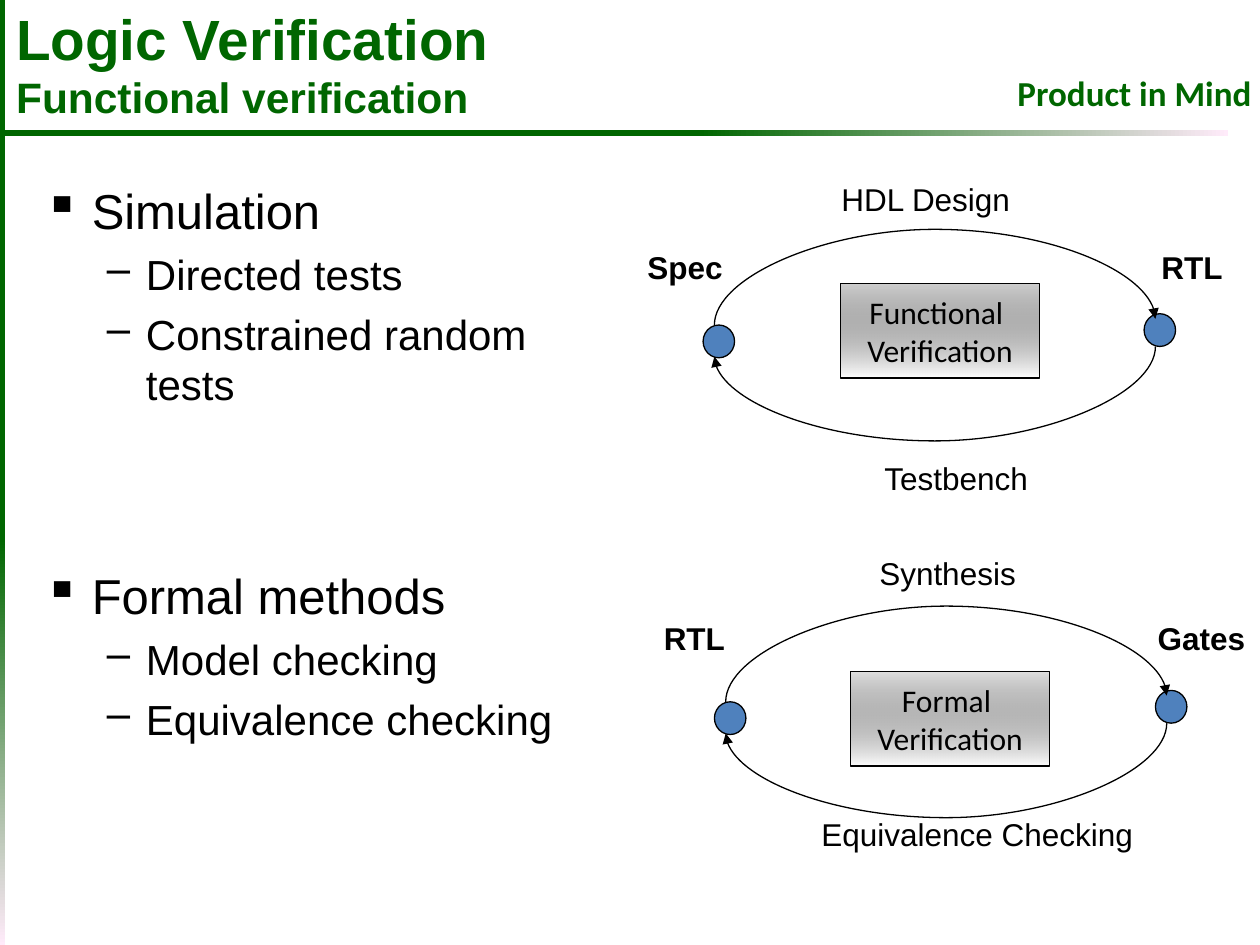
from dataclasses import dataclass

from lxml import etree
from pptx import Presentation
from pptx.dml.color import RGBColor
from pptx.enum.shapes import MSO_CONNECTOR, MSO_SHAPE
from pptx.enum.text import MSO_ANCHOR, PP_ALIGN
from pptx.oxml.ns import qn
from pptx.util import Inches, Pt

CURVE = MSO_CONNECTOR.CURVE
OVAL, RECTANGLE = MSO_SHAPE.OVAL, MSO_SHAPE.RECTANGLE
CENTER, MIDDLE = PP_ALIGN.CENTER, MSO_ANCHOR.MIDDLE
COLORS = {"green": "006600", "pink": "FFEBFA", "blue": "4F81BD",
          "black": "000000", "white": "FFFFFF"}
DOWNWARD = 270  # python-pptx measures gradient angles counter-clockwise


@dataclass
class Label:
    text: str
    left: float
    top: float
    width: float
    bold: bool = False


@dataclass
class Loop:
    """Two nodes joined by an upper and a lower arc around a check box."""
    left: float
    top: float
    box_left: float
    box_top: float
    box_lines: tuple[str, str]
    box_alpha: int
    labels: list[Label]


@dataclass
class Bullet:
    text: str
    level: int = 0
    space_before: float = 5.5


@dataclass
class BulletStyle:
    mark: str
    size: int
    margin: float
    indent: float


BULLET_STYLES = [BulletStyle("▪", 28, 0.38, 0.38), BulletStyle("–", 24, 0.81, 0.31)]
BULLETS = [
    Bullet("Simulation", space_before=0),
    Bullet("Directed tests", 1),
    Bullet("Constrained random tests", 1),
    Bullet("Formal methods", space_before=89),
    Bullet("Model checking", 1),
    Bullet("Equivalence checking", 1),
]
LOOPS = [
    Loop(5.58, 1.82, 6.67, 2.25, ("Functional ", "Verification"), 19, [
        Label("HDL Design", 6.58, 1.38, 2.08),
        Label("Testbench", 6.92, 3.59, 1.42),
        Label("Spec", 5.04, 1.92, 0.83, True),
        Label("RTL", 9.12, 1.92, 0.83, True),
    ]),
    Loop(5.67, 4.81, 6.75, 5.33, ("Formal ", "Verification"), 12, [
        Label("Synthesis", 6.88, 4.35, 2.08),
        Label("Equivalence Checking", 6.42, 6.42, 2.83),
        Label("RTL", 5.17, 4.86, 0.83, True),
        Label("Gates", 9.09, 4.86, 1, True),
    ]),
]


def color(name: str) -> RGBColor:
    return RGBColor.from_string(COLORS[name])


def set_font(paragraph, size: float, name="Arial", color_name="black", bold=False) -> None:
    font = paragraph.font
    font.name, font.size, font.bold = name, Pt(size), bold
    font.color.rgb = color(color_name)


def add_text_box(slide, left: float, top: float, width: float, height: float):
    box = slide.shapes.add_textbox(Inches(left), Inches(top), Inches(width), Inches(height))
    box.text_frame.word_wrap = True
    return box.text_frame


def add_shape(slide, kind, left: float, top: float, width: float, height: float):
    shape = slide.shapes.add_shape(kind, Inches(left), Inches(top), Inches(width), Inches(height))
    shape.shadow.inherit = False
    shape.line.color.rgb = color("black")
    shape.line.width = Pt(0.75)
    return shape


def set_gradient(shape, start: str, end: str, start_position: float, angle: int):
    """Fill with a two-colour gradient and return its first stop."""
    shape.fill.gradient()
    shape.fill.gradient_angle = angle
    first, last = shape.fill.gradient_stops
    first.color.rgb, last.color.rgb = color(start), color(end)
    first.position, last.position = start_position, 1
    return first


def add_bar(slide, left: float, top: float, width: float, height: float, angle: int) -> None:
    bar = add_shape(slide, RECTANGLE, left, top, width, height)
    bar.line.fill.background()
    set_gradient(bar, "green", "pink", 0.57, angle)


def add_arc(slide, center: float, start: float, end: float, peak: float,
            span: float, rotation: int) -> None:
    """Draw a curved connector turned on its side, from height start to end via peak."""
    drop = abs(end - start)
    left, top = center - drop / 2, (start + end - span) / 2
    arc = slide.shapes.add_connector(CURVE, Inches(left), Inches(top),
                                     Inches(left + drop), Inches(top + span))
    arc.line.color.rgb = color("black")
    arc.line.width = Pt(0.75)
    properties = arc._element.spPr
    properties.find(qn("a:xfrm")).set("rot", str(rotation * 60000))
    adjustments = properties.find(qn("a:prstGeom")).find(qn("a:avLst"))
    bend = round(abs(peak - start) / drop * 100000)
    etree.SubElement(adjustments, qn("a:gd"), name="adj1", fmla=f"val {bend}")
    etree.SubElement(properties.find(qn("a:ln")), qn("a:tailEnd"), type="triangle")
    etree.SubElement(properties, qn("a:effectLst"))


def add_check_box(slide, loop: Loop) -> None:
    box = add_shape(slide, RECTANGLE, loop.box_left, loop.box_top, 1.58, 0.75)
    first_stop = set_gradient(box, "black", "white", 0, DOWNWARD)
    stop_color = first_stop._gs.find(qn("a:srgbClr"))
    etree.SubElement(stop_color, qn("a:alpha"), val=str(loop.box_alpha * 1000))
    frame = box.text_frame
    frame.word_wrap = False
    frame.vertical_anchor = MIDDLE
    frame.text = "\n".join(loop.box_lines)
    for paragraph in frame.paragraphs:
        paragraph.alignment = CENTER
        set_font(paragraph, 18, "Calibri")


def add_loop(slide, loop: Loop) -> None:
    for across, down in ((0, 0.76), (3.5, 0.67)):
        node = add_shape(slide, OVAL, loop.left + across, loop.top + down, 0.25, 0.26)
        node.fill.solid()
        node.fill.fore_color.rgb = color("blue")
    center, top = loop.left + 1.84, loop.top
    add_arc(slide, center, top + 0.76, top + 0.71, top, 3.5, 270)
    add_arc(slide, center, top + 0.93, top + 1.01, top + 1.68, 3.5, 90)
    for label in loop.labels:
        frame = add_text_box(slide, label.left, label.top, label.width, 0.41)
        frame.text = label.text
        set_font(frame.paragraphs[0], 18, bold=label.bold)
    add_check_box(slide, loop)


def add_bullets(slide) -> None:
    frame = add_text_box(slide, 0.25, 1.38, 4.79, 5.78)
    frame.text = "\n".join(bullet.text for bullet in BULLETS)
    for paragraph, bullet in zip(frame.paragraphs, BULLETS):
        style = BULLET_STYLES[bullet.level]
        paragraph.level = bullet.level
        paragraph.space_before = Pt(bullet.space_before)
        set_font(paragraph, style.size)
        properties = paragraph._p.get_or_add_pPr()
        properties.set("marL", str(Inches(style.margin)))
        properties.set("indent", str(-Inches(style.indent)))
        mark = etree.Element(qn("a:buChar"), char=style.mark)
        properties.find(qn("a:defRPr")).addprevious(mark)


def add_header(slide) -> None:
    add_bar(slide, 0, 0, 0.04, 7.5, DOWNWARD)
    add_bar(slide, 0, 1.03, 9.75, 0.05, 0)
    tagline = add_text_box(slide, 7.92, 0.52, 2.17, 0.44)
    tagline.text = "Product in Mind"
    tagline.paragraphs[0].alignment = CENTER
    set_font(tagline.paragraphs[0], 20, "Calibri", "green", True)
    title = add_text_box(slide, 0.03, 0, 7.89, 1)
    title.vertical_anchor = MIDDLE
    title.text = "Logic Verification\nFunctional verification"
    for paragraph, size in zip(title.paragraphs, (32.4, 24.3)):
        set_font(paragraph, size, color_name="green", bold=True)


def main() -> None:
    presentation = Presentation()
    presentation.slide_width, presentation.slide_height = Inches(10), Inches(7.5)
    slide = presentation.slides.add_slide(presentation.slide_layouts[6])
    add_header(slide)
    add_bullets(slide)
    for loop in LOOPS:
        add_loop(slide, loop)
    presentation.save("out.pptx")


if __name__ == "__main__":
    main()
